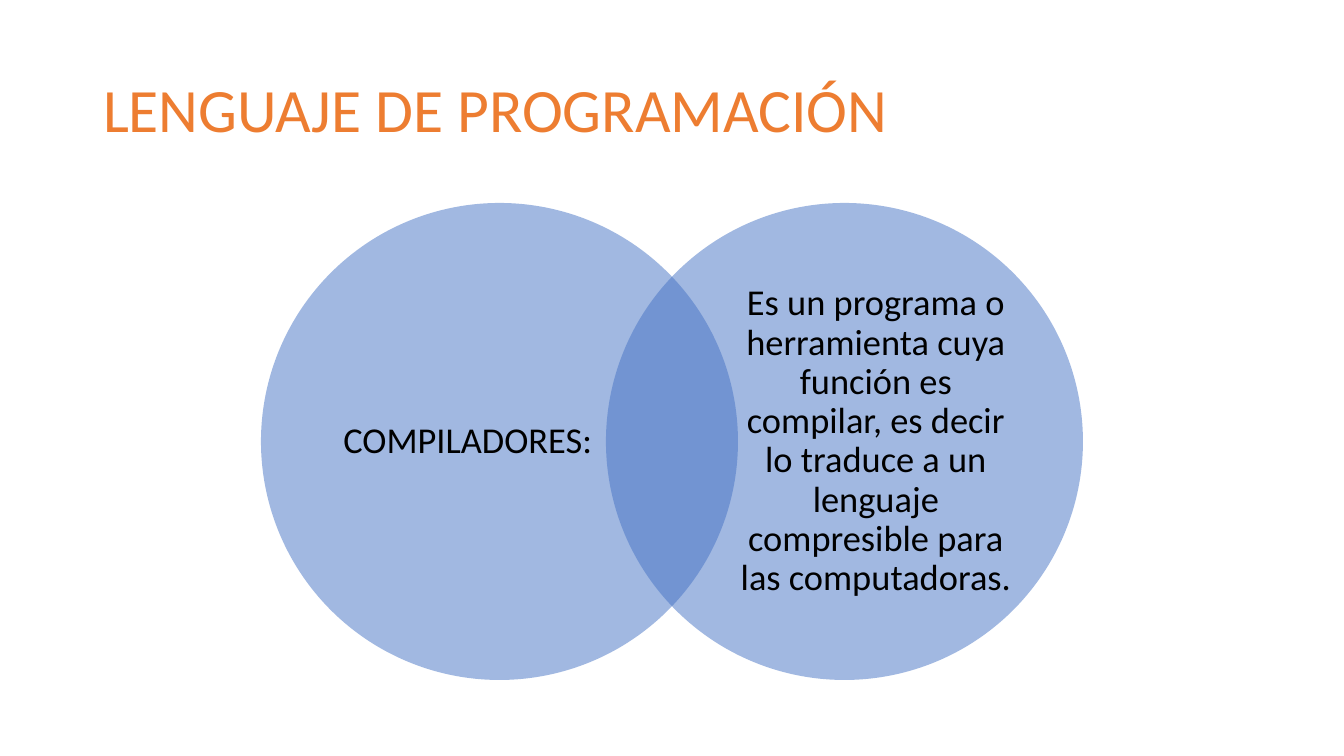
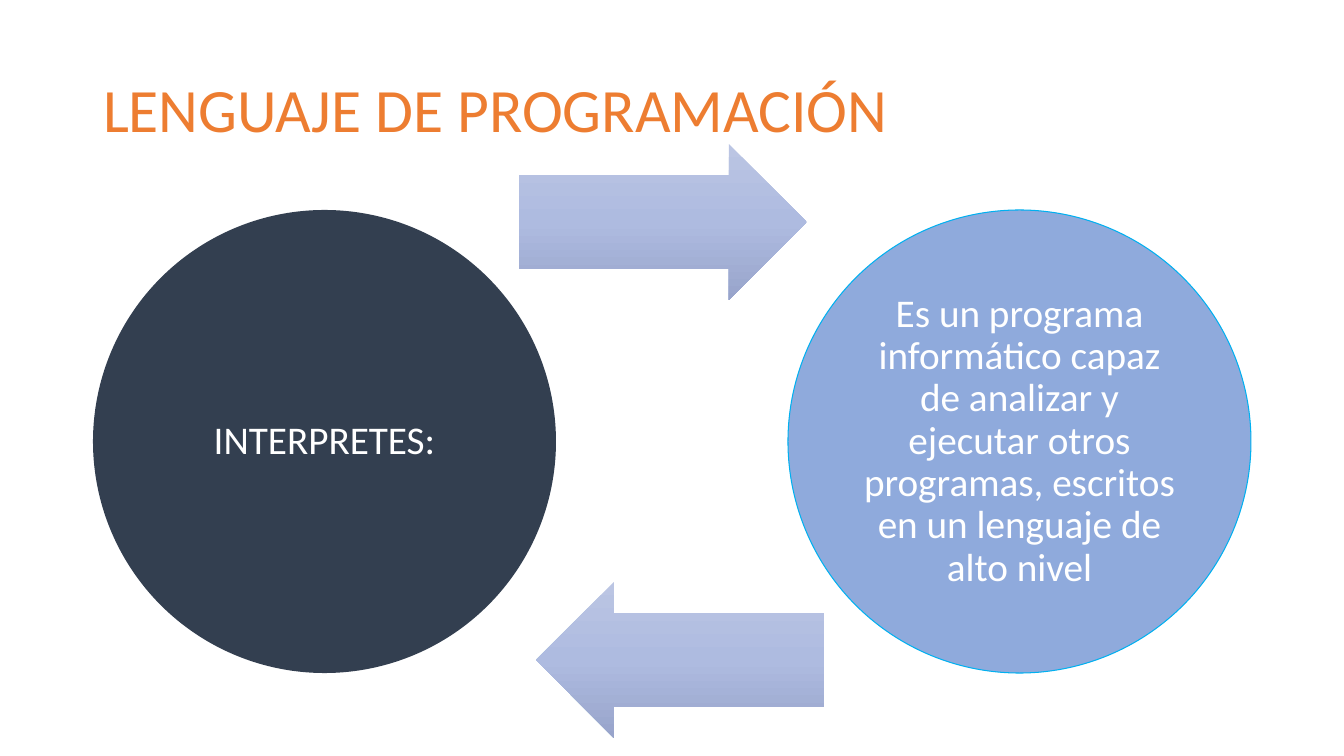
from lxml import etree
from pptx import Presentation
from pptx.dml.color import RGBColor
from pptx.enum.shapes import MSO_SHAPE
from pptx.enum.text import MSO_ANCHOR, PP_ALIGN
from pptx.oxml import parse_xml
from pptx.util import Emu, Pt

OVAL = MSO_SHAPE.OVAL
RIGHT_ARROW, LEFT_ARROW = MSO_SHAPE.RIGHT_ARROW, MSO_SHAPE.LEFT_ARROW
LEFT, CENTER, MIDDLE = PP_ALIGN.LEFT, PP_ALIGN.CENTER, MSO_ANCHOR.MIDDLE
DRAWING_NS = "http://schemas.openxmlformats.org/drawingml/2006/main"

PX_PER_INCH = 100.8
SLIDE_SIZE = (1344, 756)
FONT = "Calibri"
TITLE = "LENGUAJE DE PROGRAMACIÓN"
TITLE_BOX = (93, 40, 1159, 146)
TITLE_COLOR, TITLE_SIZE = "ED7D31", 44

# Text margins are left, top, right, bottom
VENN = {
    "top": 203, "diameter": 477, "text_size": 26, "text_color": "000000",
    "circles": [
        {"left": 261, "text": "COMPILADORES:", "fill": "4472C4", "alpha": 50,
         "margins": (0, 0, 63, 0)},
        {"left": 606, "fill": "4472C4", "alpha": 50, "margins": (63, 0, 0, 0),
         "text": "Es un programa o herramienta cuya función es compilar, es decir "
                 "lo traduce a un lenguaje compresible para las computadoras."},
    ],
    "arrows": [],
}
CYCLE = {
    "top": 210, "diameter": 463, "text_size": 28, "text_color": "FFFFFF",
    "circles": [
        {"left": 93, "text": "INTERPRETES:", "fill": "333F50", "margins": (4, 4, 4, 4)},
        {"left": 788, "fill": "8FAADC", "line": "00B0F0", "margins": (4, 4, 4, 4),
         "text": "Es un programa informático capaz de analizar y ejecutar otros "
                 "programas, escritos en un lenguaje de alto nivel"},
    ],
    "arrows": [(RIGHT_ARROW, 519, 144), (LEFT_ARROW, 536, 582)],
}
ARROW_SIZE = (288, 156)
ARROW_ADJUSTMENTS = (0.6, 0.5)
ARROW_GRADIENT = [(0, "BBC5E3"), (50, "AEBBE0"), (100, "98A4CB")]


def px(value):
    return Emu(round(value * 914400 / PX_PER_INCH))


def rgb(color):
    return RGBColor.from_string(color)


def set_all(target, values):
    for name, value in values.items():
        setattr(target, name, value)


def write_text(shape, text, size, color, alignment):
    frame = shape.text_frame
    frame.text = text
    set_all(frame, {"word_wrap": True, "vertical_anchor": MIDDLE})
    paragraph = frame.paragraphs[0]
    set_all(paragraph, {"alignment": alignment, "line_spacing": 0.9})
    font = paragraph.runs[0].font
    set_all(font, {"name": FONT, "size": Pt(size)})
    font.color.rgb = rgb(color)


def add_plain_shape(slide, kind, box):
    """Add a preset shape without shadow or outline."""
    shape = slide.shapes.add_shape(kind, *map(px, box))
    shape.shadow.inherit = False
    shape.line.fill.background()
    return shape


def add_circle(slide, diagram, circle):
    diameter = diagram["diameter"]
    shape = add_plain_shape(slide, OVAL, (circle["left"], diagram["top"], diameter, diameter))
    shape.fill.solid()
    shape.fill.fore_color.rgb = rgb(circle["fill"])
    if "alpha" in circle:
        color = shape.fill._xPr.find(f".//{{{DRAWING_NS}}}srgbClr")
        etree.SubElement(color, f"{{{DRAWING_NS}}}alpha", val=str(circle["alpha"] * 1000))
    if "line" in circle:
        shape.line.color.rgb = rgb(circle["line"])
        shape.line.width = Pt(0.75)
    sides = ("margin_left", "margin_top", "margin_right", "margin_bottom")
    set_all(shape.text_frame, dict(zip(sides, map(px, circle["margins"]))))
    write_text(shape, circle["text"], diagram["text_size"], diagram["text_color"], CENTER)


def add_arrow(slide, kind, left, top):
    shape = add_plain_shape(slide, kind, (left, top, *ARROW_SIZE))
    for index, value in enumerate(ARROW_ADJUSTMENTS):
        shape.adjustments[index] = value
    shape.fill.gradient()
    shape.fill.gradient_angle = 270
    stops = "".join(f'<a:gs pos="{position * 1000}"><a:srgbClr val="{color}"/></a:gs>'
                    for position, color in ARROW_GRADIENT)
    stop_list = shape.fill._xPr.find(f".//{{{DRAWING_NS}}}gsLst")
    stop_list.getparent().replace(
        stop_list, parse_xml(f'<a:gsLst xmlns:a="{DRAWING_NS}">{stops}</a:gsLst>'))


def add_diagram_slide(presentation, diagram):
    slide = presentation.slides.add_slide(presentation.slide_layouts[5])
    title = slide.shapes.title
    set_all(title, dict(zip(("left", "top", "width", "height"), map(px, TITLE_BOX))))
    write_text(title, TITLE, TITLE_SIZE, TITLE_COLOR, LEFT)
    for circle in diagram["circles"]:
        add_circle(slide, diagram, circle)
    for arrow in diagram["arrows"]:
        add_arrow(slide, *arrow)


def main():
    presentation = Presentation()
    set_all(presentation, dict(zip(("slide_width", "slide_height"), map(px, SLIDE_SIZE))))
    for diagram in (VENN, CYCLE):
        add_diagram_slide(presentation, diagram)
    presentation.save("out.pptx")


if __name__ == "__main__":
    main()
